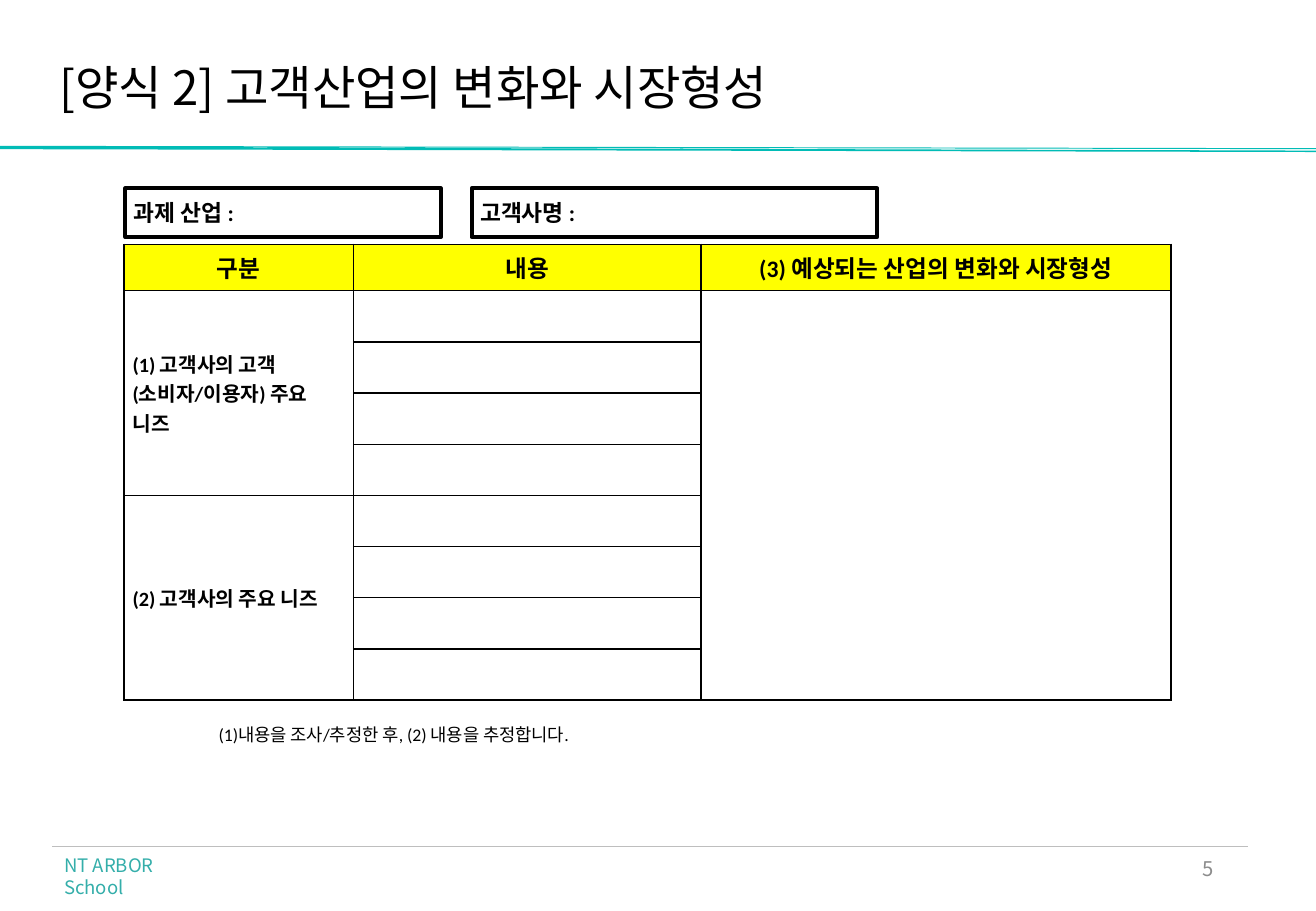
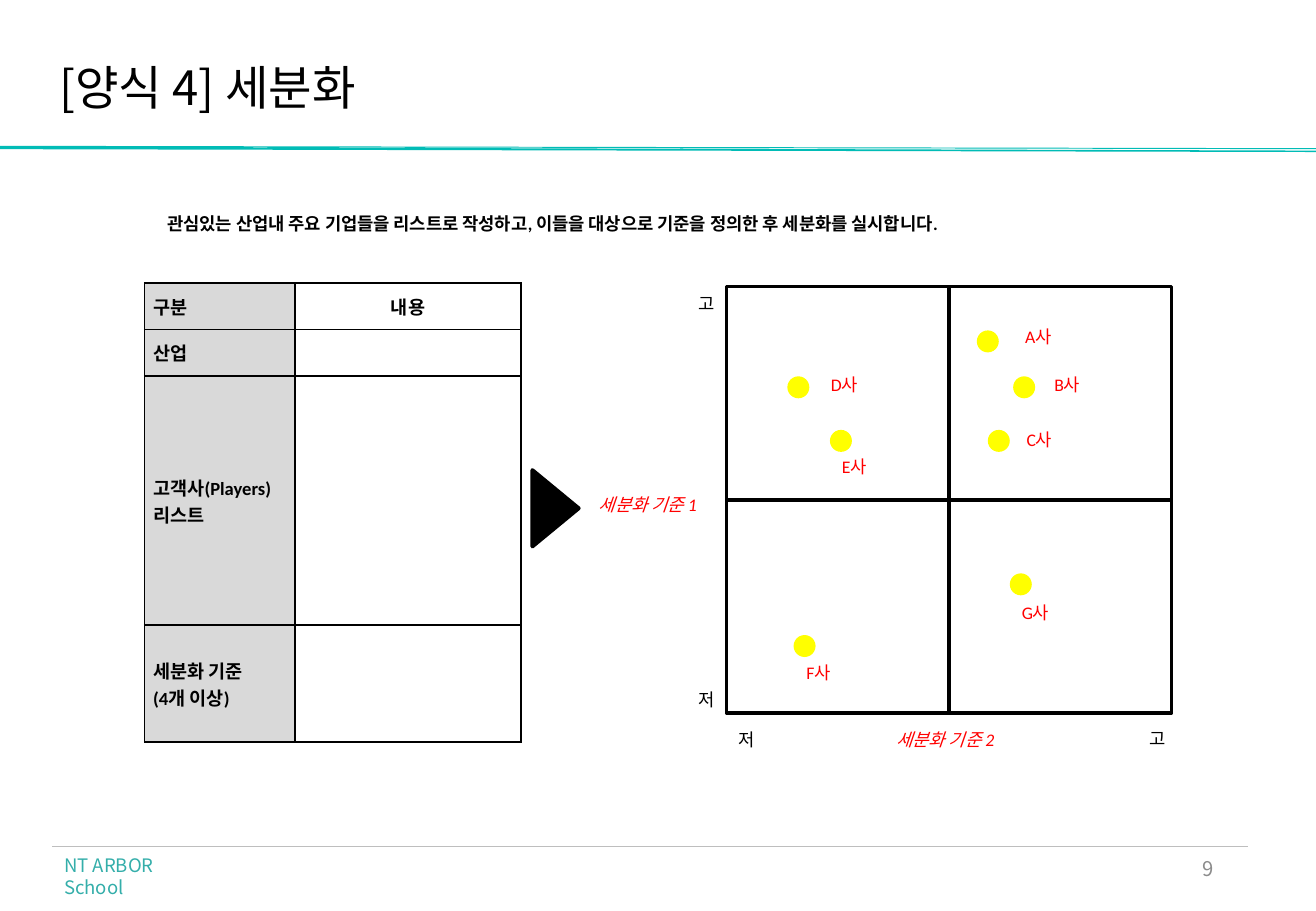
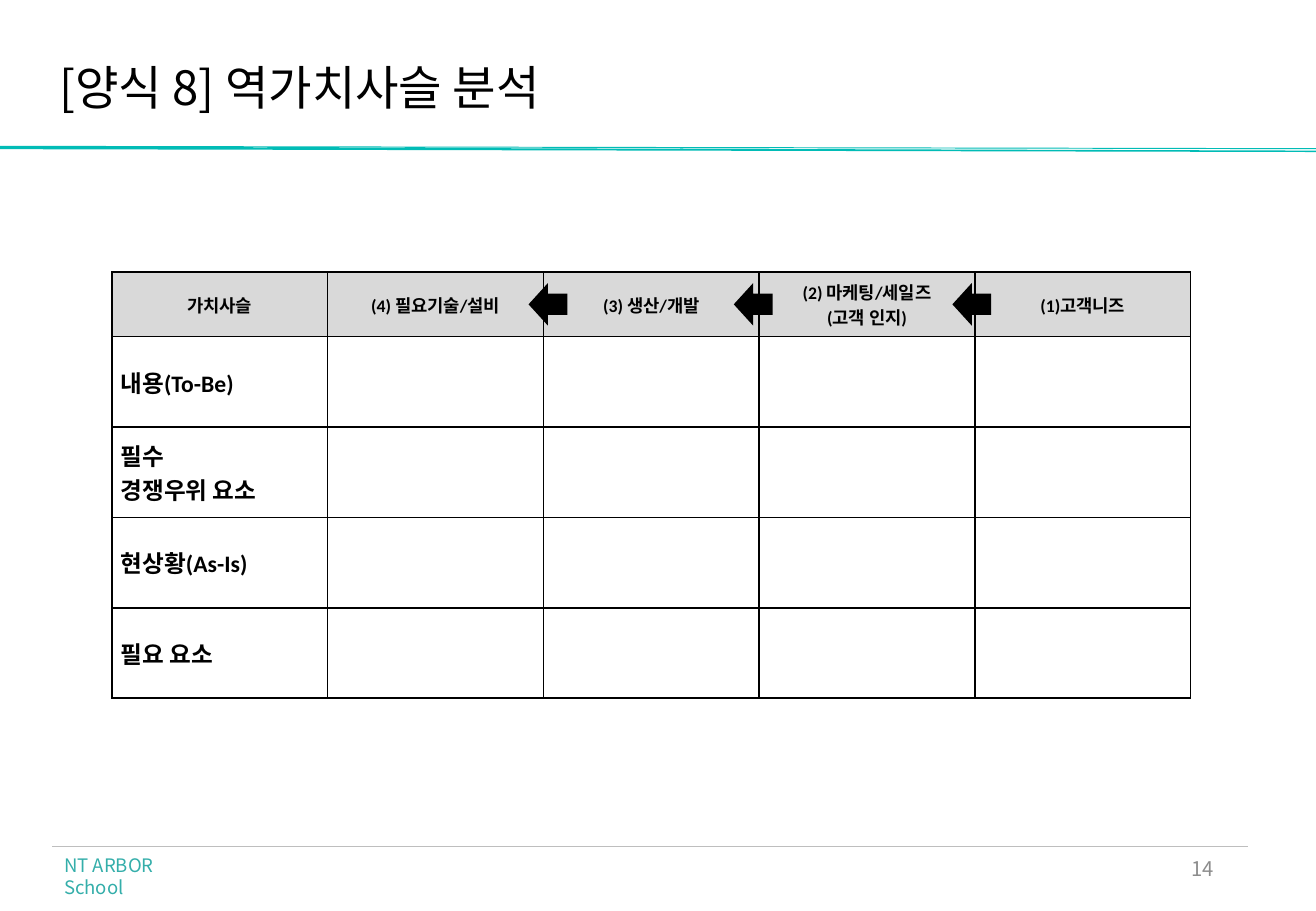
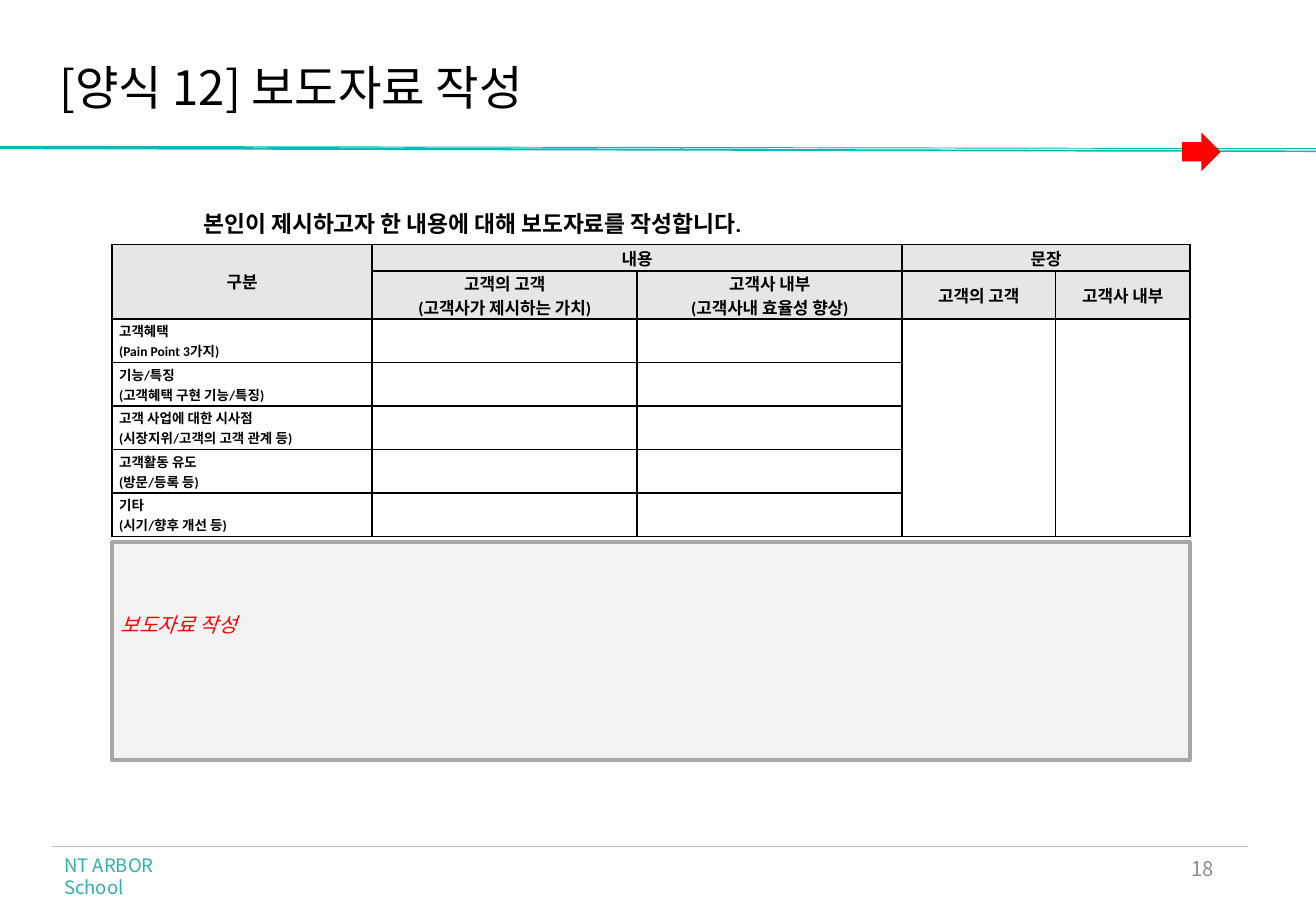
"""Build four worksheet slides for customer industry analysis."""

from dataclasses import dataclass
from typing import Optional

import lxml.etree
import pptx
import pptx.dml.color
import pptx.enum.shapes
import pptx.enum.text
import pptx.oxml.ns
import pptx.presentation
import pptx.shapes.autoshape
import pptx.shapes.connector
import pptx.slide
import pptx.text.text
import pptx.util

Cm = pptx.util.Cm
RGBColor = pptx.dml.color.RGBColor
Align = pptx.enum.text.PP_ALIGN
Anchor = pptx.enum.text.MSO_ANCHOR
Preset = pptx.enum.shapes.MSO_SHAPE
qn = pptx.oxml.ns.qn

BLACK = RGBColor(0x00, 0x00, 0x00)
WHITE = RGBColor(0xFF, 0xFF, 0xFF)
RED = RGBColor(0xFF, 0x00, 0x00)
YELLOW = RGBColor(0xFF, 0xFF, 0x00)
TEAL = RGBColor(0x01, 0xBC, 0xB6)
BRAND_TEAL = RGBColor(0x34, 0xAE, 0xAA)
RULE_GREY = RGBColor(0xBE, 0xBE, 0xBE)
NUMBER_GREY = RGBColor(0x8C, 0x8C, 0x8C)
LABEL_GREY = RGBColor(0xD9, 0xD9, 0xD9)
HEADER_GREY = RGBColor(0xE7, 0xE6, 0xE6)
PANEL_GREY = RGBColor(0xF2, 0xF2, 0xF2)
BORDER_GREY = RGBColor(0xA6, 0xA6, 0xA6)

BODY_FONT = "Calibri"
KOREAN_FONT = "Noto Sans CJK KR"
SLIDE_WIDTH = 27.51
SLIDE_HEIGHT = 19.05
HEAVY_LINE = 2.25
SHAPE_MARGINS = (0.18, 0.1, 0.18, 0.1)
BAND_OUTLINES = (
    ((0, 3.07), (0, 3.12), (SLIDE_WIDTH, 3.18), (SLIDE_WIDTH, 3.15)),
    ((0, 3.05), (0, 3.07), (SLIDE_WIDTH, 3.12), (SLIDE_WIDTH, 3.1)),
)


@dataclass(frozen=True)
class Box:
    """Place and size in centimetres."""

    left: float
    top: float
    width: float
    height: float

    def lengths(self) -> tuple[Cm, Cm, Cm, Cm]:
        """Return the four lengths for a shape call."""
        return Cm(self.left), Cm(self.top), Cm(self.width), Cm(self.height)


@dataclass(frozen=True)
class TextStyle:
    """Look of a run of text."""

    size: float
    color: RGBColor = BLACK
    bold: bool = False
    italic: bool = False
    font: str = BODY_FONT


@dataclass(frozen=True)
class Company:
    """A company dot in the matrix and its label."""

    name: str
    dot_left: float
    dot_top: float
    label_left: float
    label_top: float


@dataclass(frozen=True)
class Grid:
    """A form table; the header is the top rows or the first column."""

    left: float
    top: float
    columns: tuple[float, ...]
    rows: tuple[float, ...]
    texts: dict[tuple[int, int], str]
    header_size: float
    body_size: float
    header_fill: RGBColor
    header_rows: int = 1
    fill_first_column: bool = False
    merges: tuple[tuple[int, int, int, int], ...] = ()
    side_margin: float = 0.18
    vertical_margin: float = 0.1


TITLE_STYLE = TextStyle(28, font=KOREAN_FONT)
BRAND_STYLE = TextStyle(11, BRAND_TEAL, font=KOREAN_FONT)
NUMBER_STYLE = TextStyle(12, NUMBER_GREY, font=KOREAN_FONT)
NOTE_STYLE = TextStyle(10.5)
GUIDE_STYLE = TextStyle(10.5, bold=True)
FIELD_STYLE = TextStyle(13.5, bold=True)
COMPANY_STYLE = TextStyle(10.5, RED)
CRITERION_STYLE = TextStyle(10.5, RED, italic=True)
PRESS_STYLE = TextStyle(12, RED, italic=True)

MATRIX = Box(15.19, 5.99, 9.3, 8.92)
DOT_SIZE = 0.46
COMPANIES = (
    Company("A사", 20.42, 6.91, 21.18, 6.68),
    Company("B사", 21.18, 7.87, 21.79, 7.7),
    Company("C사", 20.65, 8.99, 21.21, 8.84),
    Company("D사", 16.46, 7.87, 17.12, 7.7),
    Company("E사", 17.35, 8.99, 17.35, 9.4),
    Company("F사", 16.59, 13.28, 16.61, 13.72),
    Company("G사", 21.11, 11.99, 21.11, 12.45),
)
AXIS_ENDS = (
    ("고", 14.35, 5.99),
    ("저", 14.35, 14.27),
    ("저", 15.19, 15.11),
    ("고", 23.77, 15.09),
)

NEEDS_GRID = Grid(
    2.59, 5.11, (4.8, 7.26, 9.83), (0.97,) + (1.07,) * 8,
    {
        (0, 0): "구분",
        (0, 1): "내용",
        (0, 2): "(3) 예상되는 산업의 변화와 시장형성",
        (1, 0): "(1) 고객사의 고객(소비자/이용자) 주요 니즈",
        (5, 0): "(2) 고객사의 주요 니즈",
    },
    14, 12, YELLOW,
    merges=((1, 0, 4, 0), (5, 0, 8, 0), (1, 2, 8, 2)),
)
SEGMENT_GRID = Grid(
    3.02, 5.92, (3.15, 4.72), (0.97, 0.97, 5.21, 2.45),
    {
        (0, 0): "구분",
        (0, 1): "내용",
        (1, 0): "산업",
        (2, 0): "고객사(Players)\n리스트",
        (3, 0): "세분화 기준\n(4개 이상)",
    },
    11, 11, LABEL_GREY, fill_first_column=True,
)
CHAIN_GRID = Grid(
    2.34, 5.69, (4.51,) * 5, (1.35,) + (1.89,) * 4,
    {
        (0, 0): "가치사슬",
        (0, 1): "(4) 필요기술/설비",
        (0, 2): "(3) 생산/개발",
        (0, 3): "(2) 마케팅/세일즈\n(고객 인지)",
        (0, 4): "(1)고객니즈",
        (1, 0): "내용(To-Be)",
        (2, 0): "필수\n경쟁우위 요소",
        (3, 0): "현상황(As-Is)",
        (4, 0): "필요 요소",
    },
    10.5, 14, LABEL_GREY,
)
PRESS_GRID = Grid(
    2.34, 5.11, (5.44, 5.54, 5.54, 3.2, 2.82), (0.56, 1.0) + (0.91,) * 5,
    {
        (0, 0): "구분",
        (0, 1): "내용",
        (0, 3): "문장",
        (1, 1): "고객의 고객\n(고객사가 제시하는 가치)",
        (1, 2): "고객사 내부\n(고객사내 효율성 향상)",
        (1, 3): "고객의 고객",
        (1, 4): "고객사 내부",
        (2, 0): "고객혜택\n(Pain Point 3가지)",
        (3, 0): "기능/특징\n(고객혜택 구현 기능/특징)",
        (4, 0): "고객 사업에 대한 시사점\n(시장지위/고객의 고객 관계 등)",
        (5, 0): "고객활동 유도\n(방문/등록 등)",
        (6, 0): "기타\n(시기/향후 개선 등)",
    },
    10, 8, HEADER_GREY, header_rows=2,
    merges=((0, 0, 1, 0), (0, 1, 0, 2), (0, 3, 0, 4), (2, 3, 6, 3), (2, 4, 6, 4)),
    side_margin=0.15, vertical_margin=0,
)


def write_text(
    frame: pptx.text.text.TextFrame, text: str, style: TextStyle, align: Align = Align.LEFT
) -> None:
    """Write each line of the text as a paragraph with one run."""
    for index, line in enumerate(text.split("\n")):
        paragraph = frame.add_paragraph() if index else frame.paragraphs[0]
        paragraph.alignment = align
        run = paragraph.add_run()
        run.text = line
        run.font.name = style.font
        run.font.size = pptx.util.Pt(style.size)
        run.font.bold = style.bold
        run.font.italic = style.italic
        run.font.color.rgb = style.color
        properties = run._r.get_or_add_rPr()
        lxml.etree.SubElement(properties, qn("a:ea"), typeface=KOREAN_FONT)


def set_margins(frame: pptx.text.text.TextFrame, margins: tuple[float, ...]) -> None:
    """Set left, top, right and bottom margins."""
    frame.margin_left, frame.margin_top, frame.margin_right, frame.margin_bottom = map(Cm, margins)


def add_label(
    slide: pptx.slide.Slide,
    box: Box,
    text: str,
    style: TextStyle,
    align: Align = Align.LEFT,
    anchor: Anchor = Anchor.TOP,
) -> pptx.shapes.autoshape.Shape:
    """Add a wrapping text box."""
    label = slide.shapes.add_textbox(*box.lengths())
    label.text_frame.word_wrap = True
    label.text_frame.vertical_anchor = anchor
    write_text(label.text_frame, text, style, align)
    return label


def paint(
    shape: pptx.shapes.autoshape.Shape, fill: Optional[RGBColor], line: Optional[RGBColor] = None
) -> None:
    """Give a shape a flat fill and a heavy line, or neither."""
    shape.shadow.inherit = False
    if fill is None:
        shape.fill.background()
    else:
        shape.fill.solid()
        shape.fill.fore_color.rgb = fill
    if line is None:
        shape.line.fill.background()
    else:
        shape.line.color.rgb = line
        shape.line.width = pptx.util.Pt(HEAVY_LINE)


def add_preset(
    slide: pptx.slide.Slide,
    preset: Preset,
    box: Box,
    fill: Optional[RGBColor],
    line: Optional[RGBColor] = None,
) -> pptx.shapes.autoshape.Shape:
    """Add a painted preset shape."""
    shape = slide.shapes.add_shape(preset, *box.lengths())
    paint(shape, fill, line)
    return shape


def fill_panel(
    panel: pptx.shapes.autoshape.Shape,
    text: str,
    style: TextStyle,
    margins: tuple[float, ...] = SHAPE_MARGINS,
) -> None:
    """Write left-aligned text in the middle of a panel."""
    frame = panel.text_frame
    frame.word_wrap = True
    frame.vertical_anchor = Anchor.MIDDLE
    set_margins(frame, margins)
    write_text(frame, text, style)


def add_line(
    slide: pptx.slide.Slide,
    start: tuple[float, float],
    end: tuple[float, float],
    color: RGBColor,
    width: float,
) -> pptx.shapes.connector.Connector:
    """Add a straight line without a shadow."""
    connector = slide.shapes.add_connector(
        pptx.enum.shapes.MSO_CONNECTOR.STRAIGHT, *map(Cm, start + end)
    )
    connector.line.color.rgb = color
    connector.line.width = pptx.util.Pt(width)
    lxml.etree.SubElement(connector.element.spPr, qn("a:effectLst"))
    return connector


def add_borders(properties: lxml.etree._Element) -> None:
    """Put thin black borders in front of a table cell's fill."""
    for index, side in enumerate(("a:lnL", "a:lnR", "a:lnT", "a:lnB")):
        border = lxml.etree.Element(qn(side), w=str(pptx.util.Pt(1)))
        fill = lxml.etree.SubElement(border, qn("a:solidFill"))
        lxml.etree.SubElement(fill, qn("a:srgbClr"), val=str(BLACK))
        properties.insert(index, border)


def add_grid(slide: pptx.slide.Slide, grid: Grid) -> None:
    """Add a bordered form table."""
    box = Box(grid.left, grid.top, sum(grid.columns), sum(grid.rows))
    graphic = slide.shapes.add_table(len(grid.rows), len(grid.columns), *box.lengths())
    table = graphic.table
    table.first_row = False
    table.horz_banding = False
    for column, width in zip(table.columns, grid.columns):
        column.width = Cm(width)
    for row_index, height in enumerate(grid.rows):
        table.rows[row_index].height = Cm(height)
        in_header = row_index < grid.header_rows
        size = grid.header_size if in_header else grid.body_size
        for column_index in range(len(grid.columns)):
            is_label = grid.fill_first_column and column_index == 0
            filled = is_label if grid.fill_first_column else in_header
            cell = table.cell(row_index, column_index)
            cell.vertical_anchor = Anchor.MIDDLE
            cell.margin_left = cell.margin_right = Cm(grid.side_margin)
            cell.margin_top = cell.margin_bottom = Cm(grid.vertical_margin)
            cell.fill.solid()
            cell.fill.fore_color.rgb = grid.header_fill if filled else WHITE
            text = grid.texts.get((row_index, column_index))
            if text:
                align = Align.CENTER if in_header and not is_label else Align.LEFT
                write_text(cell.text_frame, text, TextStyle(size, bold=True), align)
    for first_row, first_column, last_row, last_column in grid.merges:
        table.cell(first_row, first_column).merge(table.cell(last_row, last_column))
    for properties in graphic.element.iter(qn("a:tcPr")):
        add_borders(properties)
    for paragraph in graphic.element.iter(qn("a:p")):
        if paragraph.find(qn("a:r")) is None:
            lxml.etree.SubElement(paragraph, qn("a:endParaRPr"), sz=str(int(grid.body_size * 100)))


def add_band(slide: pptx.slide.Slide) -> pptx.shapes.autoshape.Shape:
    """Add the slanting double band under the title."""
    outlines = [[(Cm(x), Cm(y)) for x, y in outline] for outline in BAND_OUTLINES]
    builder = slide.shapes.build_freeform(*outlines[0][0])
    builder.add_line_segments(outlines[0][1:])
    for outline in outlines[1:]:
        builder.move_to(*outline[0])
        builder.add_line_segments(outline[1:])
    band = builder.convert_to_shape()
    paint(band, TEAL)
    return band


def prepare_layout(layout: pptx.slide.SlideLayout) -> None:
    """Place the layout's title and remove its other placeholders."""
    title, *others = list(layout.placeholders)
    title.left, title.top, title.width, title.height = Box(1.24, 1.35, 24.84, 1.07).lengths()
    for placeholder in others:
        placeholder.element.getparent().remove(placeholder.element)


def share_decoration(slide: pptx.slide.Slide) -> None:
    """Draw the band, footer rule and footer name and move them to the layout."""
    decoration = (
        add_band(slide),
        add_line(slide, (1.09, 17.7), (26.09, 17.7), RULE_GREY, 0.5),
        add_label(slide, Box(1.09, 17.73, 3.56, 0.74), "NT ARBOR School", BRAND_STYLE),
    )
    title = slide.slide_layout.placeholders[0]
    for shape in decoration:
        title.element.addnext(shape.element)


def add_slide(
    presentation: pptx.presentation.Presentation, title: str, number: int
) -> pptx.slide.Slide:
    """Add a title-only slide with its title and page number."""
    slide = presentation.slides.add_slide(presentation.slide_layouts[5])
    if len(presentation.slides) == 1:
        share_decoration(slide)
    frame = slide.shapes.title.text_frame
    frame.vertical_anchor = Anchor.TOP
    frame.auto_size = pptx.enum.text.MSO_AUTO_SIZE.NONE
    set_margins(frame, (0, 0, 0, 0))
    write_text(frame, title, TITLE_STYLE)
    frame.paragraphs[0].line_spacing = 0.9
    add_label(
        slide, Box(19.43, 17.65, 6.2, 1.02), str(number), NUMBER_STYLE, Align.RIGHT, Anchor.MIDDLE
    )
    return slide


def build_needs(presentation: pptx.presentation.Presentation) -> None:
    """Build the customer needs form."""
    slide = add_slide(presentation, "[양식 2] 고객산업의 변화와 시장형성", 5)
    add_grid(slide, NEEDS_GRID)
    add_label(
        slide,
        Box(4.32, 15.01, 15.9, 0.71),
        "(1)내용을 조사/추정한 후, (2) 내용을 추정합니다.",
        NOTE_STYLE,
    )
    for text, left, width in (("과제 산업 :", 2.62, 6.6), ("고객사명 :", 9.86, 8.48)):
        field = add_preset(slide, Preset.RECTANGLE, Box(left, 3.94, width, 1.02), None, BLACK)
        fill_panel(field, text, FIELD_STYLE)


def build_segments(presentation: pptx.presentation.Presentation) -> None:
    """Build the segmentation form and matrix."""
    slide = add_slide(presentation, "[양식 4] 세분화", 9)
    add_label(
        slide,
        Box(3.25, 4.32, 22.2, 0.71),
        "관심있는 산업내 주요 기업들을 리스트로 작성하고, 이들을 대상으로 기준을 정의한 후 세분화를 실시합니다.",
        GUIDE_STYLE,
    )
    add_grid(slide, SEGMENT_GRID)
    add_preset(slide, Preset.RECTANGLE, MATRIX, WHITE, BLACK)
    right, bottom = MATRIX.left + MATRIX.width, MATRIX.top + MATRIX.height
    middle_x, middle_y = MATRIX.left + MATRIX.width / 2, MATRIX.top + MATRIX.height / 2
    add_line(slide, (MATRIX.left, middle_y), (right, middle_y), BLACK, HEAVY_LINE)
    add_line(slide, (middle_x, MATRIX.top), (middle_x, bottom), BLACK, HEAVY_LINE)
    add_label(slide, Box(12.27, 10.21, 2.69, 1.14), "세분화 기준 1", CRITERION_STYLE)
    add_label(slide, Box(18.49, 15.11, 2.69, 1.14), "세분화 기준 2", CRITERION_STYLE)
    for company in COMPANIES:
        dot = Box(company.dot_left, company.dot_top, DOT_SIZE, DOT_SIZE)
        add_preset(slide, Preset.OVAL, dot, YELLOW)
        label = Box(company.label_left, company.label_top, 2.69, 0.71)
        add_label(slide, label, company.name, COMPANY_STYLE)
    arrow = add_preset(slide, Preset.RIGHT_ARROW, Box(11.13, 9.83, 0.97, 1.6), BLACK, BLACK)
    arrow.adjustments[0] = 0.5
    arrow.adjustments[1] = 1
    for text, left, top in AXIS_ENDS:
        add_label(slide, Box(left, top, 0.61, 0.71), text, NOTE_STYLE)


def build_chain(presentation: pptx.presentation.Presentation) -> None:
    """Build the reverse value chain form."""
    slide = add_slide(presentation, "[양식 8] 역가치사슬 분석", 14)
    add_grid(slide, CHAIN_GRID)
    for left in (19.91, 15.34, 11.05):
        add_preset(slide, Preset.LEFT_ARROW, Box(left, 5.92, 0.81, 0.89), BLACK)


def build_press(presentation: pptx.presentation.Presentation) -> None:
    """Build the press release form."""
    slide = add_slide(presentation, "[양식 12] 보도자료 작성", 18)
    add_label(
        slide,
        Box(4.01, 4.27, 19.51, 0.84),
        "본인이 제시하고자 한 내용에 대해 보도자료를 작성합니다.",
        FIELD_STYLE,
    )
    add_grid(slide, PRESS_GRID)
    panel = add_preset(
        slide, Preset.RECTANGLE, Box(2.34, 11.33, 22.53, 4.57), PANEL_GREY, BORDER_GREY
    )
    fill_panel(panel, "보도자료 작성", PRESS_STYLE, (0.18, 0.1, 0.18, 1.2))
    add_preset(slide, Preset.RIGHT_ARROW, Box(24.71, 2.77, 0.81, 0.81), RED)


def main() -> None:
    """Build and save the presentation."""
    presentation = pptx.Presentation()
    presentation.slide_width = Cm(SLIDE_WIDTH)
    presentation.slide_height = Cm(SLIDE_HEIGHT)
    prepare_layout(presentation.slide_layouts[5])
    for build in (build_needs, build_segments, build_chain, build_press):
        build(presentation)
    presentation.save("out.pptx")


if __name__ == "__main__":
    main()
